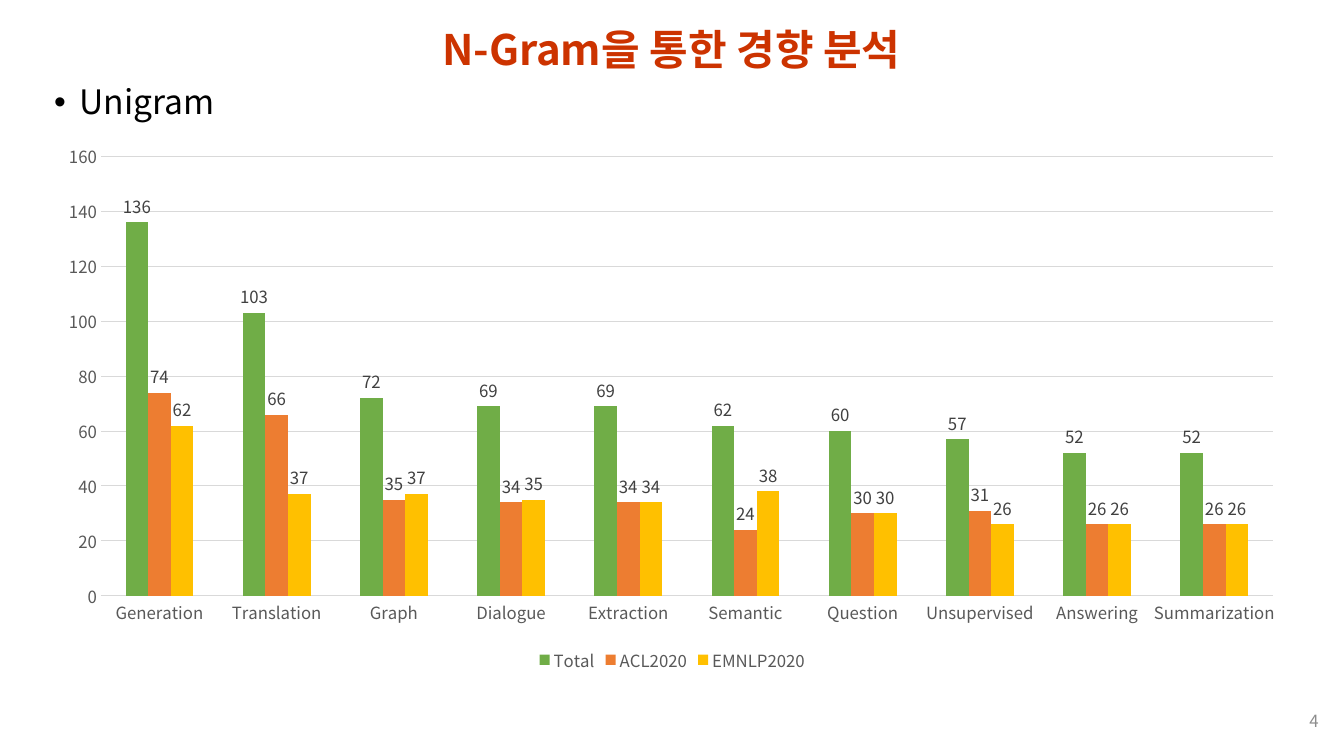
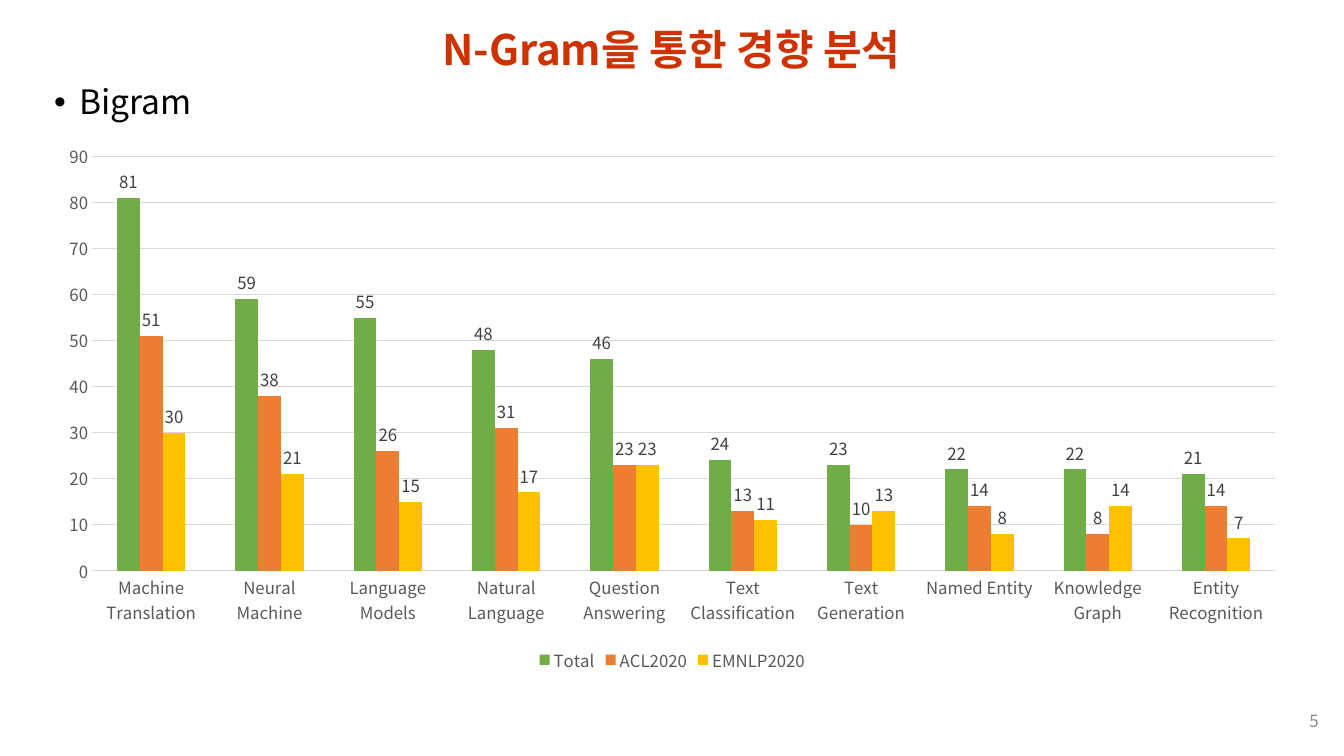
from lxml.etree import SubElement
from pptx import Presentation
from pptx.chart.data import CategoryChartData
from pptx.dml.color import RGBColor
from pptx.enum.chart import XL_CHART_TYPE, XL_LABEL_POSITION, XL_LEGEND_POSITION, XL_TICK_MARK
from pptx.enum.text import MSO_ANCHOR, PP_ALIGN
from pptx.oxml.ns import qn
from pptx.util import Pt

FONT = "Noto Sans CJK KR"
TITLE = "N-Gram을 통한 경향 분석"
TITLE_RED, BLACK, NUMBER_GREY = "CC3300", "000000", "8C8C8C"
AXIS_GREY, LABEL_GREY, GRID_GREY = "595959", "404040", "D9D9D9"
SERIES_COLORS = {"Total": "70AD47", "ACL2020": "ED7D31", "EMNLP2020": "FFC000"}
LEFT, CONTENT_WIDTH = 31.68, 895.68

SECTIONS = [
    {
        "heading": "Unigram", "page": "4", "axis_top": 160, "axis_step": 20,
        "terms": ["Generation", "Translation", "Graph", "Dialogue", "Extraction",
                  "Semantic", "Question", "Unsupervised", "Answering", "Summarization"],
        "counts": [[136, 103, 72, 69, 69, 62, 60, 57, 52, 52],
                   [74, 66, 35, 34, 34, 24, 30, 31, 26, 26],
                   [62, 37, 37, 35, 34, 38, 30, 26, 26, 26]],
    },
    {
        "heading": "Bigram", "page": "5", "axis_top": 90, "axis_step": 10,
        "terms": ["Machine Translation", "Neural Machine", "Language Models",
                  "Natural Language", "Question Answering", "Text Classification",
                  "Text Generation", "Named Entity", "Knowledge Graph",
                  "Entity Recognition"],
        "counts": [[81, 59, 55, 48, 46, 24, 23, 22, 22, 21],
                   [51, 38, 26, 31, 23, 13, 10, 14, 8, 14],
                   [30, 21, 15, 17, 23, 11, 13, 8, 14, 7]],
    },
]


def style_font(font, size, color, bold=False):
    """Give a font the deck's typeface with a size, hex colour and weight."""
    for name, value in {"name": FONT, "size": Pt(size), "bold": bold}.items():
        setattr(font, name, value)
    font.color.rgb = RGBColor.from_string(color)


def write_line(shape, text, size, color, align, anchor, bold=False, spacing=1.0):
    """Write one formatted line into a shape and return its paragraph."""
    frame = shape.text_frame
    frame.word_wrap = True
    frame.vertical_anchor = anchor
    line = frame.paragraphs[0]
    line.alignment, line.line_spacing = align, spacing
    run = line.add_run()
    run.text = text
    style_font(run.font, size, color, bold)
    SubElement(run._r.get_or_add_rPr(), qn("a:ea"), typeface=FONT)
    return line


deck = Presentation()
deck.slide_width, deck.slide_height = Pt(960), Pt(540)
title_only = deck.slide_layouts[5]

for section in SECTIONS:
    slide = deck.slides.add_slide(title_only)

    title = slide.shapes.title
    title_place = {"left": LEFT, "top": 10.8, "width": CONTENT_WIDTH, "height": 53.28}
    for side, length in title_place.items():
        setattr(title, side, Pt(length))
    write_line(title, TITLE, 30, TITLE_RED, PP_ALIGN.CENTER, MSO_ANCHOR.MIDDLE,
               bold=True, spacing=0.9)

    body = slide.shapes.add_textbox(Pt(LEFT), Pt(57.6), Pt(CONTENT_WIDTH), Pt(395.28))
    heading = write_line(body, section["heading"], 24, BLACK, PP_ALIGN.LEFT,
                         MSO_ANCHOR.TOP, spacing=0.9)
    heading.space_before = Pt(10)
    bullet_format = heading._p.get_or_add_pPr()
    for name, indent in {"marL": Pt(18), "indent": Pt(-18)}.items():
        bullet_format.set(name, str(indent))
    SubElement(bullet_format, qn("a:buFont"), typeface="Arial")
    SubElement(bullet_format, qn("a:buChar"), char="•")

    page_number = slide.shapes.add_textbox(Pt(732.96), Pt(500.4), Pt(216), Pt(28.8))
    write_line(page_number, section["page"], 12, NUMBER_GREY, PP_ALIGN.RIGHT,
               MSO_ANCHOR.MIDDLE)

    frequencies = CategoryChartData()
    frequencies.categories = section["terms"]
    for venue, counts in zip(SERIES_COLORS, section["counts"]):
        frequencies.add_series(venue, counts)
    chart = slide.shapes.add_chart(XL_CHART_TYPE.COLUMN_CLUSTERED, Pt(LEFT), Pt(95.04),
                                   Pt(897.12), Pt(388.08), frequencies).chart
    style_font(chart.font, 10, BLACK)
    chart.has_title = False
    chart.has_legend = True
    chart.legend.position = XL_LEGEND_POSITION.BOTTOM
    chart.legend.include_in_layout = False
    style_font(chart.legend.font, 12, AXIS_GREY)

    term_axis, count_axis = chart.category_axis, chart.value_axis
    for axis in (term_axis, count_axis):
        axis.major_tick_mark = axis.minor_tick_mark = XL_TICK_MARK.NONE
        style_font(axis.tick_labels.font, 12, AXIS_GREY)
    count_scale = {"minimum_scale": 0, "maximum_scale": section["axis_top"],
                   "major_unit": section["axis_step"], "has_major_gridlines": True}
    for name, value in count_scale.items():
        setattr(count_axis, name, value)
    count_axis.format.line.fill.background()
    for rule in (term_axis.format.line, count_axis.major_gridlines.format.line):
        rule.width = Pt(0.75)
        rule.color.rgb = RGBColor.from_string(GRID_GREY)

    columns = chart.plots[0]
    columns.gap_width, columns.overlap, columns.vary_by_categories = 219, 0, False
    for venue, color in zip(columns.series, SERIES_COLORS.values()):
        venue.format.fill.solid()
        venue.format.fill.fore_color.rgb = RGBColor.from_string(color)
        labels = venue.data_labels
        labels.show_value = True
        labels.position = XL_LABEL_POSITION.OUTSIDE_END
        style_font(labels.font, 12, LABEL_GREY)

deck.save("out.pptx")
